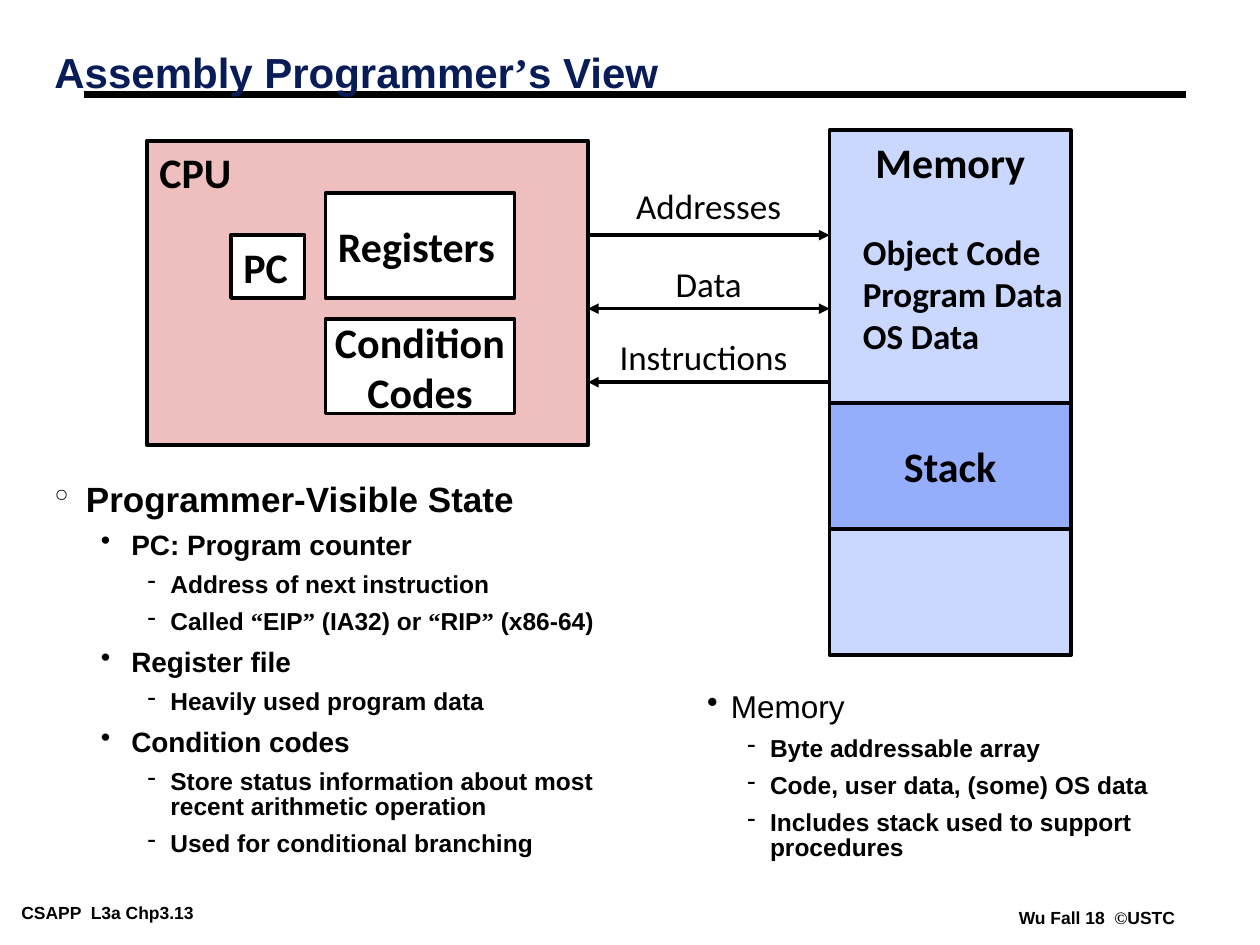
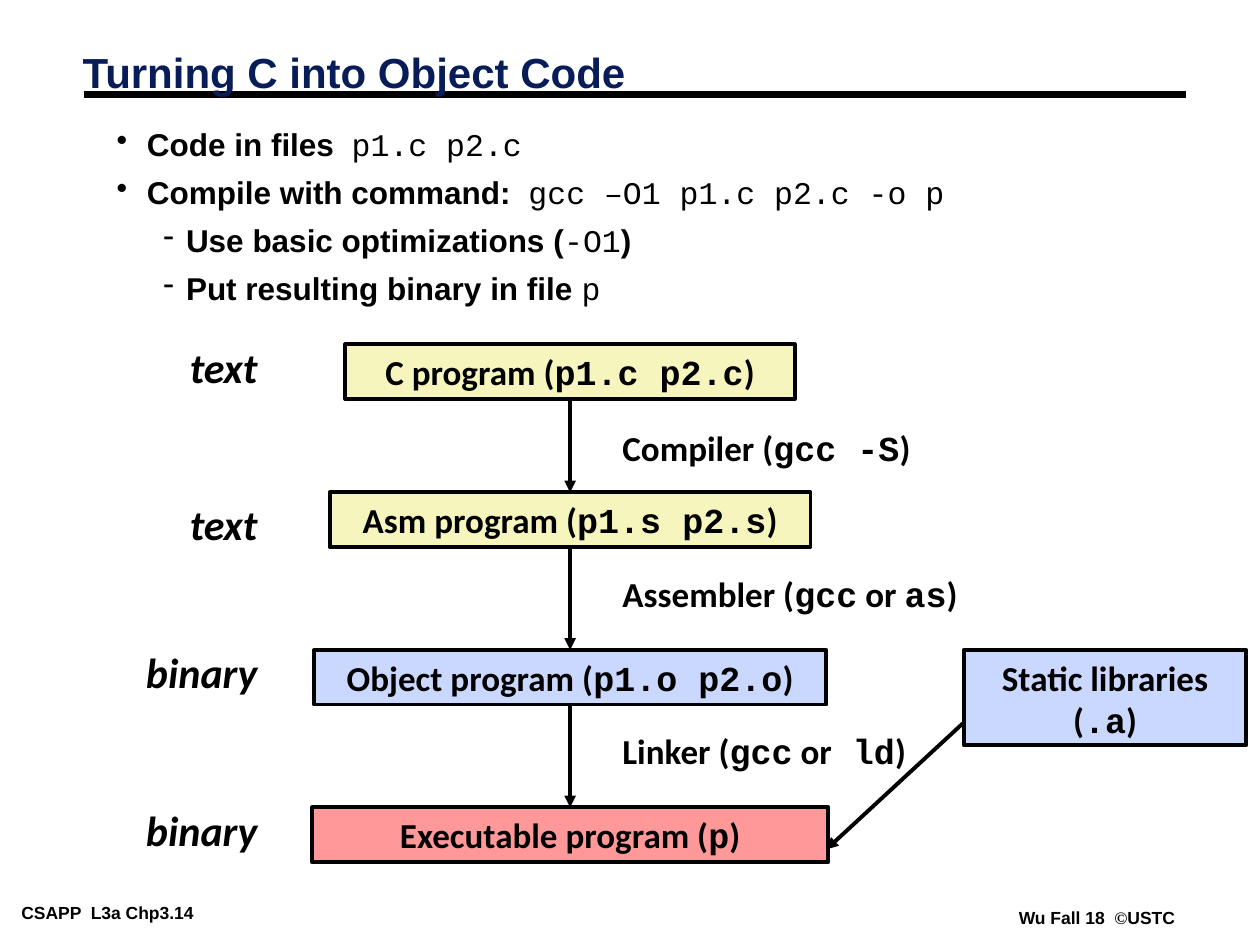
"""Build two lecture slides on the assembly view of a machine and on compiling C."""
from dataclasses import dataclass, replace
from itertools import groupby, pairwise
from typing import NamedTuple, Optional

from lxml import etree
from pptx import Presentation
from pptx.dml.color import RGBColor
from pptx.enum.shapes import MSO_CONNECTOR, MSO_SHAPE
from pptx.enum.text import MSO_ANCHOR, PP_ALIGN
from pptx.oxml.ns import qn
from pptx.util import Inches, Pt

STRAIGHT, RECTANGLE = MSO_CONNECTOR.STRAIGHT, MSO_SHAPE.RECTANGLE
LEFT, CENTER, RIGHT = PP_ALIGN.LEFT, PP_ALIGN.CENTER, PP_ALIGN.RIGHT
TOP, MIDDLE = MSO_ANCHOR.TOP, MSO_ANCHOR.MIDDLE
SIDE_TOP, SIDE_BOTTOM = 0, 2

COLUMNS, ROWS = 120, 90
WIDTH, HEIGHT = Inches(10), Inches(7.5)
COLORS = {
    "ink": "000000", "title": "081D58", "white": "FFFFFF", "cpu": "EFBFBF",
    "memory": "CAD7FE", "stack": "95AEFC", "source": "F6F5BD", "program": "FF9999",
}
SANS, LABEL, MONO, SERIF = "Arial", "Calibri", "Courier New", "Times New Roman"
SERIF_SIGNS = "’“”©"


class Area(NamedTuple):
    """A rectangle in grid columns and rows."""
    column: float
    row: float
    columns: float
    rows: float


class Point(NamedTuple):
    """A spot in grid columns and rows."""
    column: float
    row: float


@dataclass(frozen=True)
class Look:
    """How a paragraph is set."""
    size: float
    font: str = LABEL
    bold: bool = True
    italic: bool = False
    code_bold: bool = True
    color: str = "ink"
    align: PP_ALIGN = LEFT
    spacing: Optional[float] = None
    before: float = 0
    level: int = 0
    mark: str = ""
    margin: float = 0
    hanging: float = 0


class Line(NamedTuple):
    """One paragraph, with code between backticks."""
    look: Look
    text: str


class Block(NamedTuple):
    """A filled rectangle with its text."""
    area: Area
    fill: str
    lines: list[Line]
    border: float = 2
    anchor: MSO_ANCHOR = MIDDLE
    wrap: bool = False


class Stage(NamedTuple):
    """One step of the build and the tool leading to the next."""
    row: float
    columns: float
    fill: str
    text: str
    kind: str
    kind_row: float
    tool: str = ""
    tool_row: float = 0
    tool_columns: float = 0


TITLE = Look(24, SANS, color="title", spacing=0.87)
FOOTER = Look(10, SANS)
HEAD = Look(24)
HEAD_CENTER = replace(HEAD, align=CENTER)
KIND = replace(HEAD, italic=True, align=RIGHT)
ITEM = Look(20)
ITEM_CENTER = replace(ITEM, align=CENTER)
BUS = replace(ITEM_CENTER, bold=False)
TOPIC = Look(20, SANS, spacing=0.75, before=16.2, mark="°", margin=0.25, hanging=0.25)
POINT = Look(16, SANS, spacing=0.85, before=8, level=1, mark="•", margin=0.61, hanging=0.24)
DETAIL = Look(14, SANS, spacing=0.85, before=7, level=2, mark="-", margin=0.92, hanging=0.18)
SIDE_POINT = replace(POINT, size=18, bold=False, margin=0.32, hanging=0.19)
SIDE_DETAIL = replace(DETAIL, margin=0.63)
STEP = replace(POINT, size=18, before=9, code_bold=False)
SUBSTEP = replace(DETAIL, size=18, before=9, code_bold=False)

CPU_BLOCKS = [
    Block(Area(14, 13.4, 42, 29), "cpu", [Line(HEAD, "CPU")], 2.25, TOP, True),
    Block(Area(22, 22.4, 7, 6), "white", [Line(HEAD, "PC")]),
    Block(Area(31, 18.4, 18, 10), "white", [Line(HEAD, "Registers")]),
    Block(Area(31, 30.4, 18, 9), "white",
          [Line(HEAD_CENTER, "Condition"), Line(HEAD_CENTER, "Codes")]),
    Block(Area(79, 12.4, 23, 50), "memory", [Line(HEAD_CENTER, "Memory")], anchor=TOP),
    Block(Area(79, 38.4, 23, 12), "stack", [Line(HEAD_CENTER, "Stack")]),
]
BUSES = [
    ("Addresses", Area(56, 17, 23, 5.2), False, True),
    ("Data", Area(56, 24.4, 23, 5.2), True, True),
    ("Instructions", Area(56, 31.4, 22, 5.2), True, False),
]
MEMORY_CONTENTS = [Line(ITEM, text) for text in ("Object Code", "Program Data", "OS Data")]
STATE_LINES = [
    Line(TOPIC, "Programmer-Visible State"),
    Line(POINT, "PC: Program counter"),
    Line(DETAIL, "Address of next instruction"),
    Line(DETAIL, "Called “EIP” (IA32) or “RIP” (x86-64)"),
    Line(POINT, "Register file"),
    Line(DETAIL, "Heavily used program data"),
    Line(POINT, "Condition codes"),
    Line(DETAIL, "Store status information about most recent arithmetic operation"),
    Line(DETAIL, "Used for conditional branching"),
]
MEMORY_LINES = [
    Line(SIDE_POINT, "Memory"),
    Line(SIDE_DETAIL, "Byte addressable array"),
    Line(SIDE_DETAIL, "Code, user data, (some) OS data"),
    Line(SIDE_DETAIL, "Includes stack used to support procedures"),
]
COMPILE_LINES = [
    Line(STEP, "Code in files  `p1.c p2.c`"),
    Line(STEP, "Compile with command:  `gcc –O1 p1.c p2.c -o p`"),
    Line(SUBSTEP, "Use basic optimizations (`-O1`)"),
    Line(SUBSTEP, "Put resulting binary in file `p`"),
]
STAGE_CENTER, STAGE_ROWS = 54.3, 5.2
STAGES = [
    Stage(32.8, 42.8, "source", "C program (`p1.c p2.c`)", "text", 31.9,
          "Compiler (`gcc -S`)", 40, 32.9),
    Stage(46.9, 45.8, "source", "Asm program (`p1.s p2.s`)", "text", 46.9,
          "Assembler (`gcc` or `as`)", 53.9, 40),
    Stage(61.9, 48.8, "memory", "Object program (`p1.o p2.o`)", "binary", 61,
          "Linker (`gcc` or` ld`)", 68.9, 34.7),
    Stage(76.9, 49.2, "program", "Executable program (`p`)", "binary", 76),
]


def across(columns: float) -> int:
    """Turn grid columns into a length."""
    return round(WIDTH * columns / COLUMNS)


def down(rows: float) -> int:
    """Turn grid rows into a length."""
    return round(HEIGHT * rows / ROWS)


def place(area: Area) -> tuple[int, int, int, int]:
    """Turn an area into left, top, width and height."""
    return across(area.column), down(area.row), across(area.columns), down(area.rows)


def color(name: str) -> RGBColor:
    """Look up a named colour."""
    return RGBColor.from_string(COLORS[name])


def add_spans(para, line: Line) -> None:
    """Split a line into plain, code and serif spans."""
    for index, part in enumerate(line.text.split("`")):
        is_code = index % 2 == 1
        for is_sign, signs in groupby(part, lambda sign: sign in SERIF_SIGNS):
            span = para.add_run()
            span.text = "".join(signs)
            if is_code:
                span.font.name = MONO
                if line.look.code_bold != line.look.bold:
                    span.font.bold = line.look.code_bold
            elif is_sign:
                span.font.name = SERIF


def write(frame, lines: list[Line], anchor: MSO_ANCHOR = TOP, wrap: bool = True) -> None:
    """Fill a text frame with styled paragraphs."""
    frame.word_wrap = wrap
    frame.vertical_anchor = anchor
    for index, line in enumerate(lines):
        look = line.look
        para = frame.add_paragraph() if index else frame.paragraphs[0]
        para.alignment = look.align
        para.level = look.level
        if look.spacing:
            para.line_spacing = look.spacing
        if index and look.before:
            para.space_before = Pt(look.before)
        if look.mark:
            settings = para._p.get_or_add_pPr()
            settings.set("marL", str(Inches(look.margin)))
            settings.set("indent", str(-Inches(look.hanging)))
            etree.SubElement(settings, qn("a:buChar")).set("char", look.mark)
        font = para.font
        font.name, font.size = look.font, Pt(look.size)
        font.bold, font.italic = look.bold, look.italic
        font.color.rgb = color(look.color)
        add_spans(para, line)


def add_text(page, area: Area, lines: list[Line], anchor: MSO_ANCHOR = TOP,
             wrap: bool = True):
    """Add a text box and return its frame."""
    frame = page.shapes.add_textbox(*place(area)).text_frame
    write(frame, lines, anchor, wrap)
    return frame


def add_block(page, block: Block):
    """Add a bordered rectangle with text."""
    box = page.shapes.add_shape(RECTANGLE, *place(block.area))
    box.shadow.inherit = False
    box.fill.solid()
    box.fill.fore_color.rgb = color(block.fill)
    box.line.color.rgb = color("ink")
    box.line.width = Pt(block.border)
    write(box.text_frame, block.lines, block.anchor, block.wrap)
    return box


def add_line(page, start: Point, end: Point, width: float,
             head: bool = False, tail: bool = False):
    """Add a straight line with optional arrowheads."""
    line = page.shapes.add_connector(STRAIGHT, across(start.column), down(start.row),
                                     across(end.column), down(end.row))
    line.line.color.rgb = color("ink")
    line.line.width = Pt(width)
    stroke = line.line._get_or_add_ln()
    for tag, wanted in (("a:headEnd", head), ("a:tailEnd", tail)):
        if wanted:
            etree.SubElement(stroke, qn(tag)).set("type", "triangle")
    etree.SubElement(line._element.spPr, qn("a:effectLst"))
    return line


def add_page(deck, title: str, title_area: Area, number: int):
    """Add a page with its footers, rule and title."""
    page = deck.slides.add_slide(deck.slide_layouts[6])
    footers = (
        (Area(1.2, 85.5, 24.2, 2.7), f"CSAPP  L3a Chp3.{number}"),
        (Area(96.2, 86, 16.6, 2.7), "Wu Fall 18  ©USTC"),
    )
    for area, text in footers:
        frame = add_text(page, area, [Line(FOOTER, text)], wrap=False)
        frame.margin_left = frame.margin_right = Inches(0.07)
        frame.margin_top = frame.margin_bottom = Inches(0.03)
    add_line(page, Point(8, 9), Point(113, 9), 4.5)
    add_text(page, title_area, [Line(TITLE, title)], MIDDLE)
    return page


def build_machine(deck) -> None:
    """Draw the processor, the memory and the buses between them."""
    page = add_page(deck, "Assembly Programmer’s View", Area(4, 3.4, 94.8, 7.5), 13)
    for block in CPU_BLOCKS:
        add_block(page, block)
    add_text(page, Area(81, 21.4, 23, 13.2), MEMORY_CONTENTS)
    for index, (name, area, head, tail) in enumerate(BUSES):
        row = 22.4 + 7 * index
        add_line(page, Point(56, row), Point(79, row), 2, head, tail)
        add_text(page, area, [Line(BUS, name)])
    add_text(page, Area(4, 45.8, 57.2, 40.6), STATE_LINES)
    add_text(page, Area(64.6, 65.4, 53.5, 20.5), MEMORY_LINES)


def build_compilation(deck) -> None:
    """Draw the stages from C source to executable."""
    page = add_page(deck, "Turning C into Object Code", Area(6.7, 3.4, 91.8, 7.5), 14)
    add_text(page, Area(5.5, 11.9, 109, 19.2), COMPILE_LINES)
    boxes = []
    for stage in STAGES:
        area = Area(STAGE_CENTER - stage.columns / 2, stage.row, stage.columns, STAGE_ROWS)
        boxes.append(add_block(page, Block(area, stage.fill, [Line(ITEM_CENTER, stage.text)],
                                           2.25, TOP, True)))
        add_text(page, Area(12.6, stage.kind_row, 13.1, 6), [Line(KIND, stage.kind)])
        if stage.tool:
            add_text(page, Area(58.1, stage.tool_row, stage.tool_columns, STAGE_ROWS),
                     [Line(ITEM, stage.tool)])
    for upper, lower in pairwise(boxes):
        arrow = add_line(page, Point(0, 0), Point(0, 0), 2.25, tail=True)
        arrow.begin_connect(upper, SIDE_BOTTOM)
        arrow.end_connect(lower, SIDE_TOP)
    add_block(page, Block(Area(91.8, 61.9, 26.9, 9.1), "memory",
                          [Line(ITEM_CENTER, "Static libraries (`.a`)")], 2.25, TOP, True))
    add_line(page, Point(91.7, 68.9), Point(78.7, 80.9), 2.25, tail=True)


def main() -> None:
    """Build and save the deck."""
    deck = Presentation()
    deck.slide_width, deck.slide_height = WIDTH, HEIGHT
    build_machine(deck)
    build_compilation(deck)
    deck.save("out.pptx")


if __name__ == "__main__":
    main()
